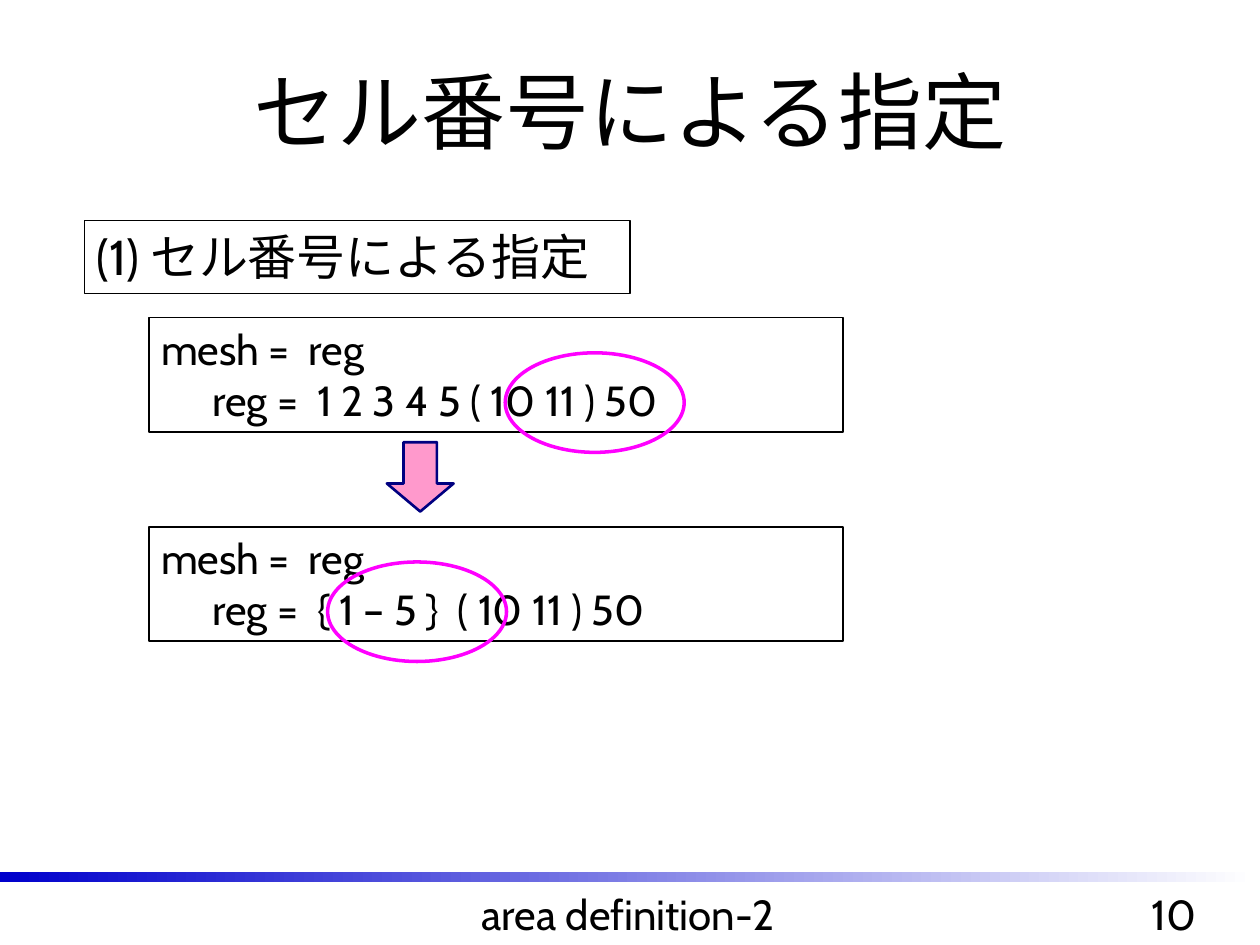
"""Build the slide on selecting cells by number."""
from dataclasses import dataclass

from pptx import Presentation
from pptx.dml.color import RGBColor
from pptx.enum import shapes as kinds, text as modes
from pptx.util import Inches, Pt


@dataclass(frozen=True)
class Theme:
    """Hold the colours, fonts and type sizes."""
    ink: str = "000000"
    paper: str = "FFFFFF"
    blue: str = "0000CC"
    navy: str = "000080"
    pink: str = "FF99CC"
    ring: str = "FF00FF"
    font: str = "Cabin"
    serif: str = "Times New Roman"
    title: int = 48
    head: int = 28
    body: int = 24


THEME = Theme()
KIND = kinds.MSO_SHAPE
LEFT, CENTER = modes.PP_ALIGN.LEFT, modes.PP_ALIGN.CENTER
TOP, MIDDLE = modes.MSO_ANCHOR.TOP, modes.MSO_ANCHOR.MIDDLE


def rgb(code):
    """Turn a hex code into a colour."""
    return RGBColor.from_string(code)


def write(shape, words, size=THEME.body, font=THEME.font, align=LEFT, anchor=TOP):
    """Fill a shape with one paragraph per line of words."""
    frame = shape.text_frame
    frame.word_wrap = True
    frame.vertical_anchor = anchor
    frame.text = words
    for para in frame.paragraphs:
        para.alignment = align
        para.font.size = Pt(size)
        para.font.name = font
        para.font.color.rgb = rgb(THEME.ink)


def label(slide, area, words, **style):
    """Add a plain text box."""
    write(slide.shapes.add_textbox(*map(Inches, area)), words, **style)


def draw(slide, kind, area, fill=None, line=None, width=1):
    """Add a preset shape with flat fill and outline."""
    shape = slide.shapes.add_shape(kind, *map(Inches, area))
    shape.shadow.inherit = False
    if fill:
        shape.fill.solid()
        shape.fill.fore_color.rgb = rgb(fill)
    else:
        shape.fill.background()
    if line:
        shape.line.color.rgb = rgb(line)
        shape.line.width = Pt(width)
    else:
        shape.line.fill.background()
    return shape


def panel(slide, area, words, **style):
    """Add a framed white box with text."""
    box = draw(slide, KIND.RECTANGLE, area, THEME.paper, THEME.ink)
    write(box, words, **style)


def ring(slide, left, top):
    """Circle a part of the code."""
    draw(slide, KIND.OVAL, (left, top, 1.42, 0.79), line=THEME.ring, width=2)


def arrow(slide):
    """Add the arrow that points down to the second code box."""
    shape = draw(slide, KIND.RIGHT_ARROW, (3.06, 3.52, 0.55, 0.53),
                 THEME.pink, THEME.navy, 1.5)
    shape.rotation = 90
    shape.adjustments[0] = 0.5
    shape.adjustments[1] = 0.42


def footer(slide):
    """Add the fading bar, the footer text and the page number."""
    bar = draw(slide, KIND.RECTANGLE, (0, 6.92, 9.96, 0.08))
    bar.fill.gradient()
    bar.fill.gradient_angle = 0
    for stop, code in zip(bar.fill.gradient_stops, (THEME.blue, THEME.paper)):
        stop.color.rgb = rgb(code)
    label(slide, (2.4, 7, 5.17, 0.5), "area definition-2", align=CENTER)
    label(slide, (8.92, 7, 0.79, 0.5), "10", align=CENTER)


def main():
    """Build and save the slide."""
    deck = Presentation()
    deck.slide_width, deck.slide_height = Inches(10), Inches(7.5)
    slide = deck.slides.add_slide(deck.slide_layouts[6])
    label(slide, (0.25, 0.25, 9.5, 1.25), "セル番号による指定", size=THEME.title,
          font=THEME.serif, align=CENTER, anchor=MIDDLE)
    footer(slide)
    panel(slide, (0.67, 1.75, 4.33, 0.58), "(1) セル番号による指定",
          size=THEME.head)
    codes = ((2.52, "1 2 3 4 5 ( 10 11 ) 50"), (4.18, "{ 1 – 5 }  ( 10 11 ) 50"))
    for top, cells in codes:
        panel(slide, (1.18, top, 5.51, 0.91), f"mesh =  reg\n　 reg =  {cells}")
    arrow(slide)
    ring(slide, 4.01, 2.8)
    ring(slide, 2.6, 4.46)
    deck.save("out.pptx")


if __name__ == "__main__":
    main()
